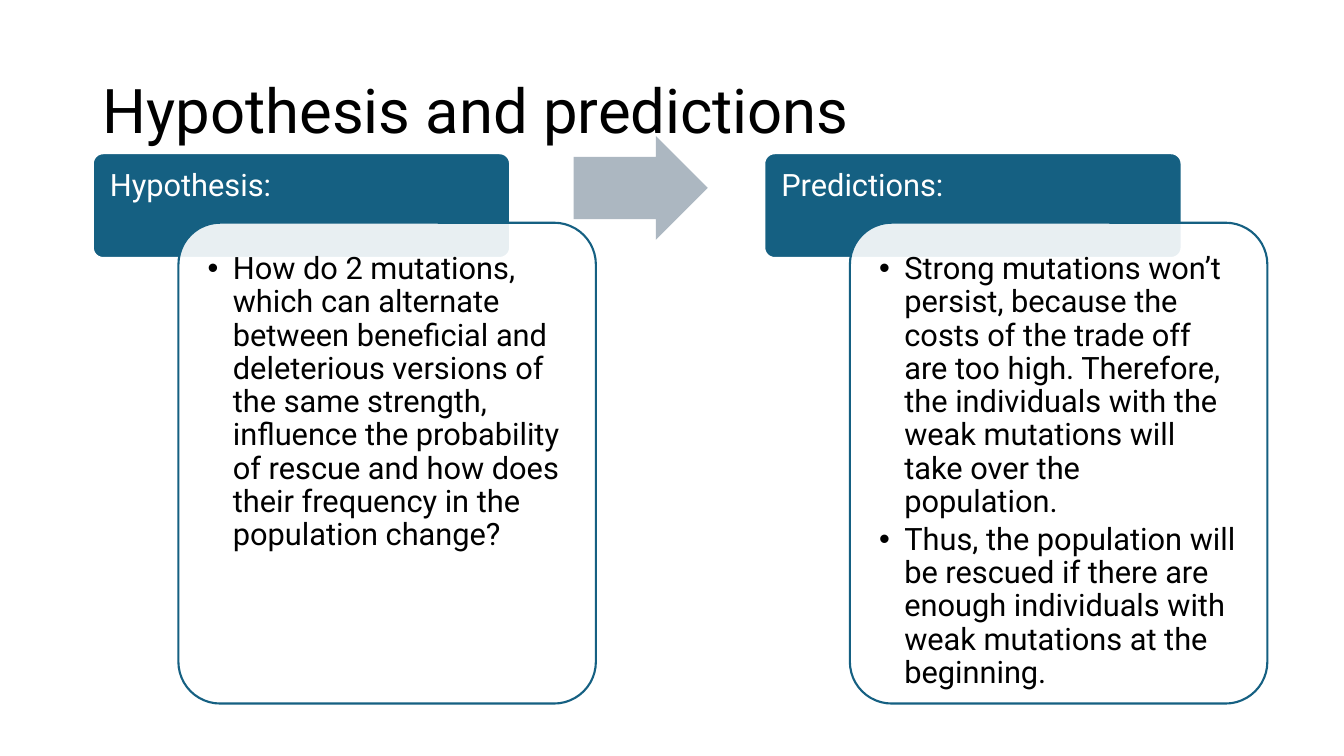
from dataclasses import dataclass
from lxml.etree import SubElement as Sub
from pptx import Presentation as Deck
from pptx.dml.color import RGBColor as Rgb
from pptx.enum.shapes import MSO_SHAPE as Kind
from pptx.enum.text import MSO_ANCHOR as Anchor
from pptx.oxml.ns import qn
from pptx.util import Pt

PX = 9144


@dataclass(frozen=True)
class Theme:
    font: str = "Roboto"
    ink: str = "000000"
    paper: str = "FFFFFF"
    blue: str = "156082"
    gray: str = "ACB7C1"
    head: int = 44
    body: int = 22
    line: float = 1.5


look = Theme()


def scale(*sizes):
    return [size * PX for size in sizes]


def add_shape(slide, kind, box, fill, line=None, ratios=(), alpha=None):
    shape = slide.shapes.add_shape(kind, *scale(*box))
    shape.shadow.inherit = False
    for spot, ratio in enumerate(ratios):
        shape.adjustments[spot] = ratio
    shape.fill.solid()
    shape.fill.fore_color.rgb = Rgb.from_string(fill)
    if alpha:
        color = shape.fill._xPr.find(".//" + qn("a:srgbClr"))
        Sub(color, qn("a:alpha"), val=str(alpha * 1000))
    if line:
        shape.line.color.rgb = Rgb.from_string(line)
        shape.line.width = Pt(look.line)
    else:
        shape.line.fill.background()


def add_text(slide, box, lines, size, color, pad, after=0, dots=False, anchor=Anchor.TOP):
    frame = slide.shapes.add_textbox(*scale(*box)).text_frame
    frame.word_wrap = True
    frame.vertical_anchor = anchor
    (frame.margin_left, frame.margin_top,
     frame.margin_right, frame.margin_bottom) = scale(*pad)
    for spot, line in enumerate(lines):
        para = frame.add_paragraph() if spot else frame.paragraphs[0]
        para.line_spacing = 0.9
        para.space_after = Pt(after)
        if dots:
            add_dot(para)
        run = para.add_run()
        run.text = line
        run.font.name = look.font
        run.font.size = Pt(size)
        run.font.color.rgb = Rgb.from_string(color)


def add_dot(para):
    props = para._p.get_or_add_pPr()
    props.set("lvl", "1")
    props.set("marL", str(25 * PX))
    props.set("indent", str(-25 * PX))
    Sub(props, qn("a:buFont"), typeface="Arial")
    Sub(props, qn("a:buChar"), char="•")


def add_panel(slide, left, label, points):
    top, width = 152, 414
    add_shape(slide, Kind.ROUNDED_RECTANGLE, (left, top, width, 104),
              look.blue, look.paper, [0.1])
    add_text(slide, (left, top, width, 69), [label], look.body, look.paper,
             (17, 17, 17, 9))
    add_shape(slide, Kind.ROUNDED_RECTANGLE, (left + 85, top + 69, width, 477),
              look.paper, look.blue, [0.1], alpha=90)
    add_text(slide, (left + 97, top + 82, width - 24, 453), points, look.body,
             look.ink, (17, 17, 17, 17), after=3.3, dots=True)


def main():
    deck = Deck()
    deck.slide_width, deck.slide_height = scale(1333, 750)
    slide = deck.slides.add_slide(deck.slide_layouts[6])
    add_text(slide, (92, 40, 1150, 145), ["Hypothesis and predictions"],
             look.head, look.ink, (10, 5, 10, 5), anchor=Anchor.MIDDLE)
    add_panel(slide, 92, "Hypothesis:", [
        "How do 2 mutations, which can alternate between beneficial and "
        "deleterious versions of the same strength, influence the probability "
        "of rescue and how does their frequency in the population change?",
    ])
    add_shape(slide, Kind.RIGHT_ARROW, (569, 135, 133, 103), look.gray,
              ratios=[0.6, 0.5])
    add_panel(slide, 758, "Predictions:", [
        "Strong mutations won’t persist, because the costs of the trade off "
        "are too high. Therefore, the individuals with the weak mutations "
        "will take over the population.",
        "Thus, the population will be rescued if there are enough individuals "
        "with weak mutations at the beginning.",
    ])
    deck.save("out.pptx")


if __name__ == "__main__":
    main()
